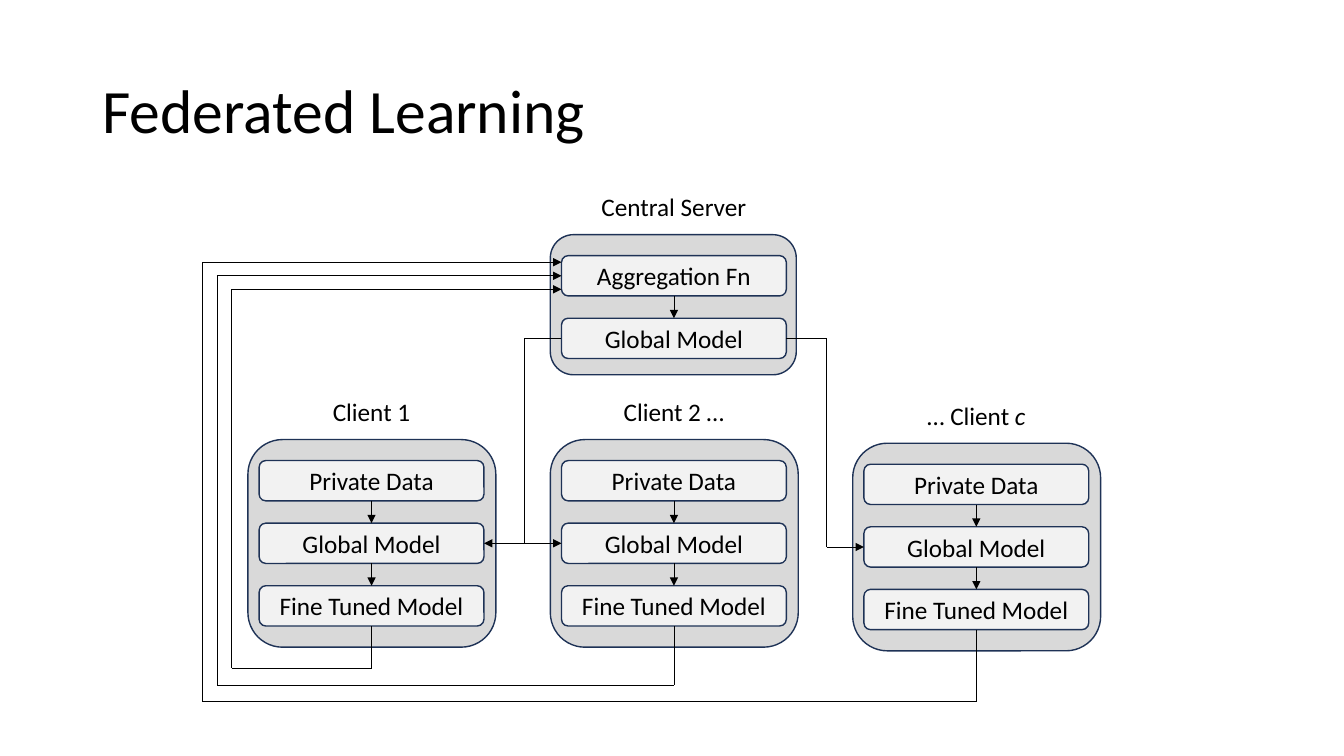
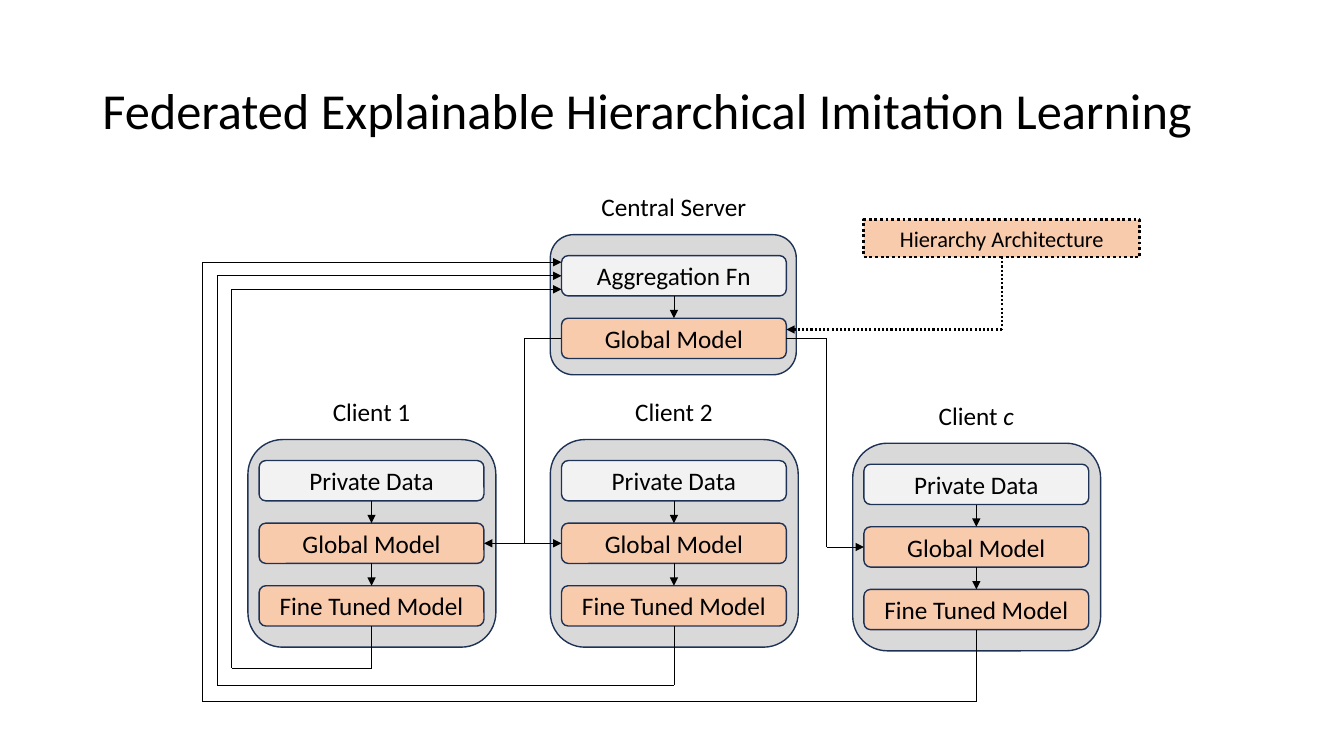
from dataclasses import dataclass

from lxml.etree import SubElement
from pptx import Presentation
from pptx.dml.color import RGBColor as RGB
from pptx.enum.dml import MSO_LINE
from pptx.enum.shapes import MSO_CONNECTOR, MSO_SHAPE
from pptx.enum.text import MSO_ANCHOR as ANCHOR, MSO_AUTO_SIZE as AUTO, PP_ALIGN as ALIGN
from pptx.oxml.ns import qn
from pptx.util import Pt

TOP, LEFT, BOTTOM, RIGHT = range(4)  # connection sites of a rectangle


@dataclass(frozen=True)
class Theme:
    font: str = "Calibri"
    text: str = "000000"
    outline: str = "1E3256"
    panel: str = "D9D9D9"
    plain: str = "F2F2F2"
    shared: str = "F9CBAD"
    note: str = "F8CBAD"
    label_size: float = 18
    note_size: float = 16
    thin: float = 0.5
    border: float = 1
    dotted: float = 1.5
    note_border: float = 2


# Layout, in points
COLUMN_X, COLUMN_STEP = 177.1, 216
SERVER_TOP, SERVER_W, SERVER_H = 167.6, 175.7, 100.1
CLIENT_TOPS, CLIENT_W, CLIENT_H = (314, 314, 316.6), 177.1, 148.3
BOX_W, BOX_H, ROW_STEP = 160.6, 28.8, 44.7
INSET_X, INSET_Y, LABEL_RISE = 8, 15, 34.4
LEFT_BUS, RIGHT_BUS = 374.4, 590.4
LANE_X, LANE_X_STEP = 165.4, 10.4
LANE_BOTTOM, LANE_BOTTOM_STEP = 477.4, 11.9
LANE_TOP_STEP = 9.7


def side(box, site):
    """Middle of one side of a box, in points."""
    x, y, w, h = (v.pt for v in (box.left, box.top, box.width, box.height))
    return {TOP: (x + w / 2, y), LEFT: (x, y + h / 2),
            BOTTOM: (x + w / 2, y + h), RIGHT: (x + w, y + h / 2)}[site]


class Deck:
    def __init__(self, theme):
        self.t = theme
        self.prs = Presentation()
        self.prs.slide_width, self.prs.slide_height = Pt(960), Pt(540)
        self.s = None

    def slide(self, title, size):
        self.s = self.prs.slides.add_slide(self.prs.slide_layouts[5])
        sp = self.s.shapes.title
        sp.left, sp.top, sp.width, sp.height = Pt(66), Pt(28.8), Pt(828), Pt(104.4)
        tf = sp.text_frame
        tf.auto_size, tf.vertical_anchor, tf.word_wrap = AUTO.NONE, ANCHOR.MIDDLE, True
        self.runs(tf, [(title, False)], size, ALIGN.LEFT)
        tf.paragraphs[0].line_spacing = 0.9

    def runs(self, tf, runs, size, align=ALIGN.CENTER):
        p = tf.paragraphs[0]
        p.alignment = align
        for text, italic in runs:
            r = p.add_run()
            r.text = text
            r.font.name, r.font.size = self.t.font, Pt(size)
            r.font.color.rgb = RGB.from_string(self.t.text)
            if italic:
                r.font.italic = True

    def stroke(self, line, color, width, dotted=False):
        line.color.rgb = RGB.from_string(color)
        line.width = Pt(width)
        if dotted:
            line.dash_style = MSO_LINE.ROUND_DOT

    def box(self, x, y, w, h, fill, text=None):
        sp = self.s.shapes.add_shape(MSO_SHAPE.ROUNDED_RECTANGLE, Pt(x), Pt(y), Pt(w), Pt(h))
        sp.shadow.inherit = False
        sp.fill.solid()
        sp.fill.fore_color.rgb = RGB.from_string(fill)
        self.stroke(sp.line, self.t.outline, self.t.border)
        if text:
            tf = sp.text_frame
            tf.word_wrap, tf.vertical_anchor = False, ANCHOR.MIDDLE
            self.runs(tf, [(text, False)], self.t.label_size)
        return sp

    def note(self, x, y, w, h, text):
        sp = self.s.shapes.add_shape(MSO_SHAPE.RECTANGLE, Pt(x), Pt(y), Pt(w), Pt(h))
        sp.shadow.inherit = False
        sp.fill.solid()
        sp.fill.fore_color.rgb = RGB.from_string(self.t.note)
        self.stroke(sp.line, self.t.text, self.t.note_border, dotted=True)
        sp.text_frame.vertical_anchor = ANCHOR.MIDDLE
        self.runs(sp.text_frame, [(text, False)], self.t.note_size)
        return sp

    def label(self, x, y, w, runs):
        sp = self.s.shapes.add_textbox(Pt(x), Pt(y), Pt(w), Pt(BOX_H))
        sp.text_frame.word_wrap = True
        self.runs(sp.text_frame, runs, self.t.label_size)

    def route(self, points, begin=None, end=None, arrow=True, dotted=False):
        """Straight segments through points; begin and end are (box, site) pairs."""
        points = list(points)
        if begin:
            points.insert(0, side(*begin))
        if end:
            points.append(side(*end))
        last = len(points) - 2
        for i, (a, b) in enumerate(zip(points, points[1:])):
            c = self.s.shapes.add_connector(MSO_CONNECTOR.STRAIGHT, *map(Pt, a + b))
            if begin and i == 0:
                c.begin_connect(*begin)
            if end and i == last:
                c.end_connect(*end)
            self.stroke(c.line, self.t.text, self.t.dotted if dotted else self.t.thin, dotted)
            sp_pr = c._element.spPr
            if arrow and i == last:
                SubElement(sp_pr.find(qn("a:ln")), qn("a:tailEnd"), type="triangle")
            SubElement(sp_pr, qn("a:effectLst"))

    def stack(self, column, top, w, h, label, rows):
        """A labelled panel with a column of boxes joined by arrows."""
        x = COLUMN_X + column * COLUMN_STEP
        self.box(x, top, w, h, self.t.panel)
        self.label(x + INSET_X, top - LABEL_RISE, BOX_W, label)
        boxes = [self.box(x + INSET_X, top + INSET_Y + i * ROW_STEP, BOX_W, BOX_H, fill, text)
                 for i, (text, fill) in enumerate(rows)]
        for upper, lower in zip(boxes, boxes[1:]):
            self.route([], (upper, BOTTOM), (lower, TOP))
        return boxes

    def federation(self, client_labels, model_fill):
        """Server, three clients and the flows between them; returns the server's model."""
        plain = self.t.plain
        aggregation, server_model = self.stack(
            1, SERVER_TOP, SERVER_W, SERVER_H, [("Central Server", False)],
            [("Aggregation Fn", plain), ("Global Model", model_fill)])
        rows = [("Private Data", plain), ("Global Model", model_fill),
                ("Fine Tuned Model", model_fill)]
        clients = [self.stack(i, top, CLIENT_W, CLIENT_H, label, rows)
                   for i, (top, label) in enumerate(zip(CLIENT_TOPS, client_labels))]

        # Global model sent out to the clients
        models = [boxes[1] for boxes in clients]
        server_y = side(server_model, LEFT)[1]
        for bus, out, model, into in ((LEFT_BUS, LEFT, models[0], RIGHT),
                                      (RIGHT_BUS, RIGHT, models[2], LEFT)):
            self.route([(bus, server_y), (bus, side(model, into)[1])],
                       (server_model, out), (model, into))
        self.route([(LEFT_BUS, side(models[1], LEFT)[1])], end=(models[1], LEFT))

        # Tuned models returned to the aggregation
        agg_x, agg_y = side(aggregation, LEFT)
        for i, (_, _, tuned) in enumerate(clients):
            lane, low = LANE_X - i * LANE_X_STEP, LANE_BOTTOM + i * LANE_BOTTOM_STEP
            high = agg_y + (1 - i) * LANE_TOP_STEP
            points = [(side(tuned, BOTTOM)[0], low), (lane, low), (lane, high)]
            if i == 1:
                self.route(points, (tuned, BOTTOM), (aggregation, LEFT))
            else:
                self.route(points + [(agg_x, high)], (tuned, BOTTOM))
        return server_model


def main():
    deck = Deck(Theme())

    # Slide 1: plain federated learning
    deck.slide("Federated Learning", 44)
    deck.federation([[("Client 1", False)], [("Client 2 …", False)],
                     [("… Client ", False), ("c", True)]], deck.t.plain)

    # Slide 2: shared hierarchy in every model
    deck.slide("Federated Explainable Hierarchical Imitation Learning", 36)
    model = deck.federation([[("Client 1", False)], [("Client 2", False)],
                             [("Client ", False), ("c", True)]], deck.t.shared)
    note = deck.note(617, 157, 197.3, 26.6, "Hierarchy Architecture")
    entry_y = 235.4
    deck.route([(side(note, BOTTOM)[0], entry_y), (side(model, RIGHT)[0], entry_y)],
               (note, BOTTOM), dotted=True)

    deck.prs.save("out.pptx")


if __name__ == "__main__":
    main()
